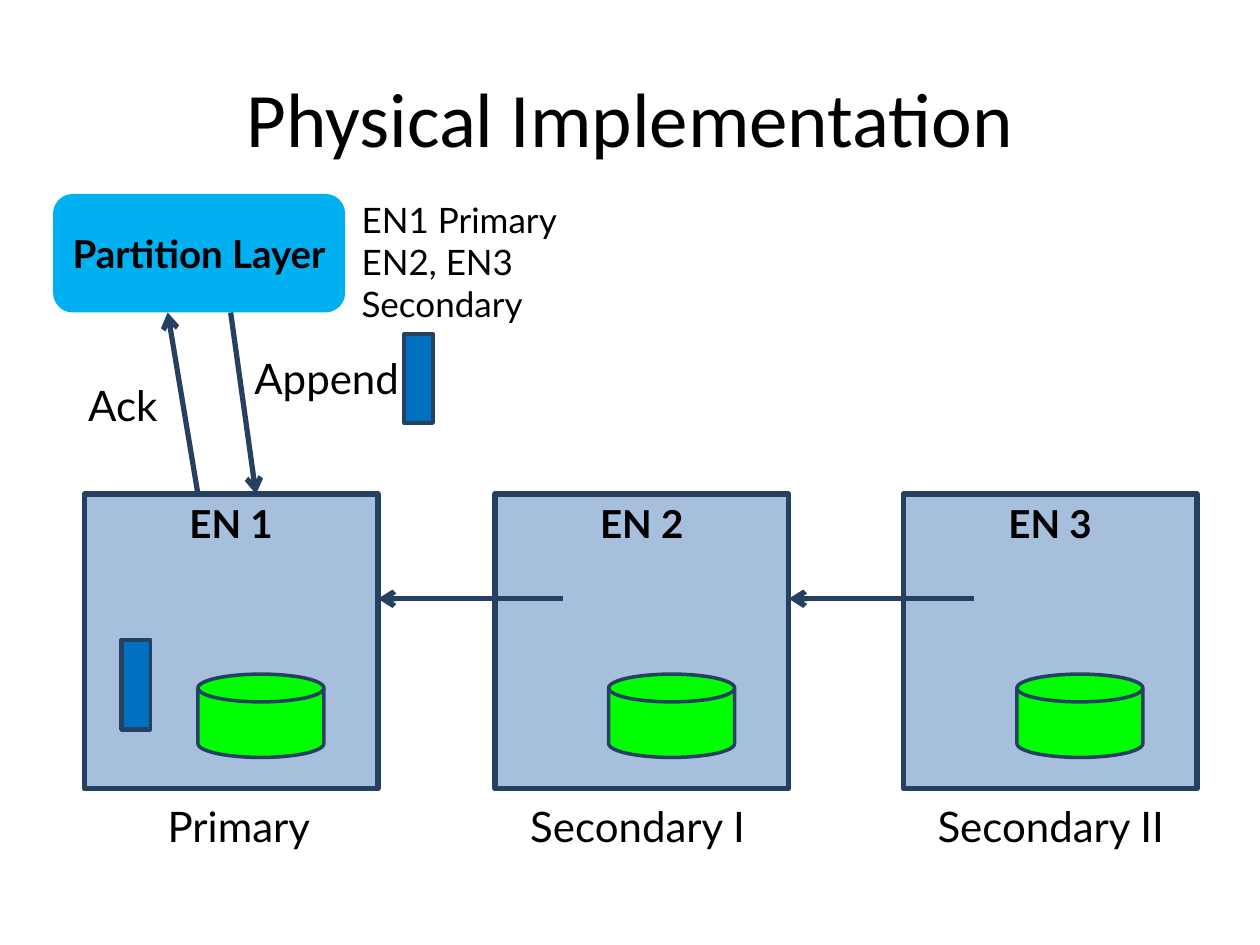
import pptx
import pptx.dml.color
import pptx.enum.shapes
import pptx.enum.text
import pptx.oxml
import pptx.oxml.ns
import pptx.util
from pptx.util import Cm

COLORS = {
    "text": "000000",
    "line": "254061",
    "layer": "00B0F0",
    "node": "4F81BD",
    "disk": "00FF00",
    "block": "0070C0",
}
SHAPE = pptx.enum.shapes.MSO_SHAPE
ANCHOR = pptx.enum.text.MSO_ANCHOR
CENTER = pptx.enum.text.PP_ALIGN.CENTER
NODE_TOP, NODE_W, NODE_H = 9.96, 5.92, 5.94


def rgb(name):
    return pptx.dml.color.RGBColor.from_string(COLORS[name])


def sub(parent, tag, **attrs):
    """Append a DrawingML child element."""
    el = pptx.oxml.parse_xml(f"<{tag} {pptx.oxml.ns.nsdecls('a')}/>")
    for key, value in attrs.items():
        el.set(key, value)
    parent.append(el)


def add_run(p, text, size, bold=False, font="Lato"):
    r = p.add_run()
    r.text = text
    r.font.name = font
    r.font.size = pptx.util.Pt(size)
    r.font.bold = bold
    r.font.color.rgb = rgb("text")


def add_title(s, text):
    sp = s.shapes.title
    sp.left, sp.top, sp.width, sp.height = Cm(1.27), Cm(0.76), Cm(22.86), Cm(3.18)
    tf = sp.text_frame
    tf.vertical_anchor = ANCHOR.MIDDLE
    p = tf.paragraphs[0]
    p.alignment = CENTER
    add_run(p, text, 44, font="Calibri")


def add_box(shapes, kind, x, y, w, h, fill, line=None, text=None, anchor=ANCHOR.TOP):
    """Add a filled shape; line is the outline width in points."""
    sp = shapes.add_shape(kind, Cm(x), Cm(y), Cm(w), Cm(h))
    sp.shadow.inherit = False
    sp.fill.solid()
    sp.fill.fore_color.rgb = rgb(fill)
    if line:
        sp.line.color.rgb = rgb("line")
        sp.line.width = pptx.util.Pt(line)
    else:
        sp.line.fill.background()
    if text:
        tf = sp.text_frame
        tf.vertical_anchor = anchor
        p = tf.paragraphs[0]
        p.alignment = CENTER
        add_run(p, text, 22, bold=True)
    return sp


def add_label(s, x, y, w, h, lines, size=24):
    tf = s.shapes.add_textbox(Cm(x), Cm(y), Cm(w), Cm(h)).text_frame
    tf.word_wrap = True
    tf.margin_left = tf.margin_right = tf.margin_top = tf.margin_bottom = 0
    p = tf.paragraphs[0]
    for i, line in enumerate(lines):
        if i:
            p.add_line_break()
        add_run(p, line, size)


def add_arrow(s, x1, y1, x2, y2):
    straight = pptx.enum.shapes.MSO_CONNECTOR.STRAIGHT
    c = s.shapes.add_connector(straight, Cm(x1), Cm(y1), Cm(x2), Cm(y2))
    c.line.color.rgb = rgb("line")
    c.line.width = pptx.util.Pt(3)
    sub(c.line._get_or_add_ln(), "a:tailEnd", type="arrow")
    sub(c._element.spPr, "a:effectLst")


def add_node(s, x, name):
    """Add an extent node: a half-transparent box with its disk."""
    shapes = s.shapes.add_group_shape().shapes
    sp = add_box(shapes, SHAPE.RECTANGLE, x, NODE_TOP, NODE_W, NODE_H, "node", 3, name)
    color = sp._element.spPr.find(".//" + pptx.oxml.ns.qn("a:srgbClr"))
    sub(color, "a:alpha", val="50000")
    add_box(shapes, SHAPE.FLOWCHART_MAGNETIC_DISK, x + 2.29, NODE_TOP + 3.63,
            2.54, 1.68, "disk", 2)


def add_block(s, x, y):
    add_box(s.shapes, SHAPE.RECTANGLE, x, y, 0.58, 1.8, "block", 2)


def main():
    prs = pptx.Presentation()
    prs.slide_width, prs.slide_height = Cm(25.4), Cm(19.05)
    s = prs.slides.add_slide(prs.slide_layouts[5])
    add_title(s, "Physical Implementation")

    # Partition layer and its view of the replicas
    add_box(s.shapes, SHAPE.ROUNDED_RECTANGLE, 1.07, 3.91, 5.89, 2.39, "layer",
            text="Partition Layer", anchor=ANCHOR.MIDDLE)
    add_label(s, 7.29, 4.01, 6.4, 1.7, ["EN1 Primary", "EN2, EN3 Secondary"], 20)

    # Extent nodes with their roles
    nodes = [
        ("EN 1", 1.7, "Primary", 3.38, 4.11),
        ("EN 2", 9.98, "Secondary I", 10.69, 7.92),
        ("EN 3", 18.21, "Secondary II", 18.9, 7.92),
    ]
    for name, x, role, role_x, role_w in nodes:
        add_node(s, x, name)
        add_label(s, role_x, 16.13, role_w, 1.02, [role])

    # Append request and acknowledgement
    add_arrow(s, 4.65, 6.3, 5.16, NODE_TOP)
    add_label(s, 5.13, 7.11, 3, 1.02, ["Append"])
    add_arrow(s, 3.99, NODE_TOP, 3.38, 6.3)
    add_label(s, 1.78, 7.65, 2.67, 1.02, ["Ack"])

    # Data block: incoming, then the stacked replicas in the primary
    for x, y in [(8.15, 6.73), (2.46, 12.93), (2.44, 12.9), (2.46, 12.9)]:
        add_block(s, x, y)

    # Replies from each secondary to the node on its left
    for _, x, *_ in nodes[:2]:
        right = x + NODE_W
        add_arrow(s, right + 3.73, 12.07, right, 12.07)

    prs.save("out.pptx")


if __name__ == "__main__":
    main()
